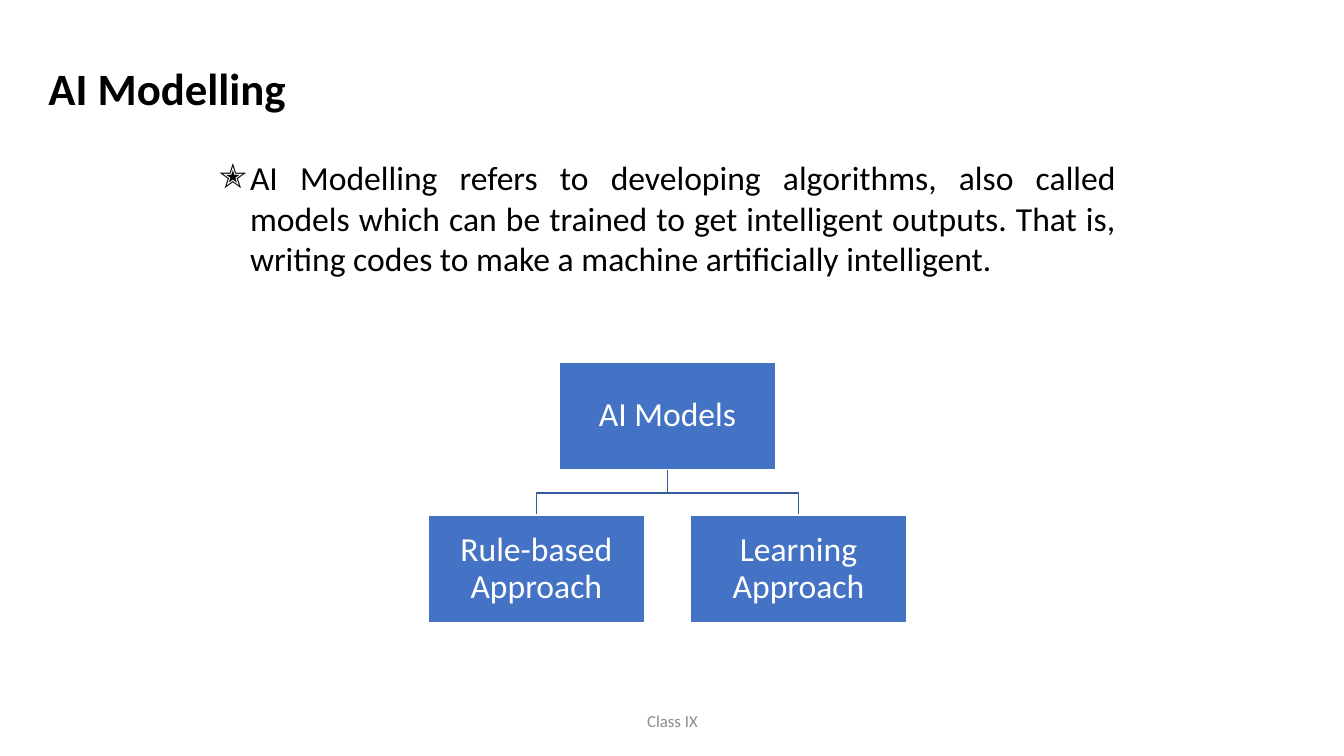
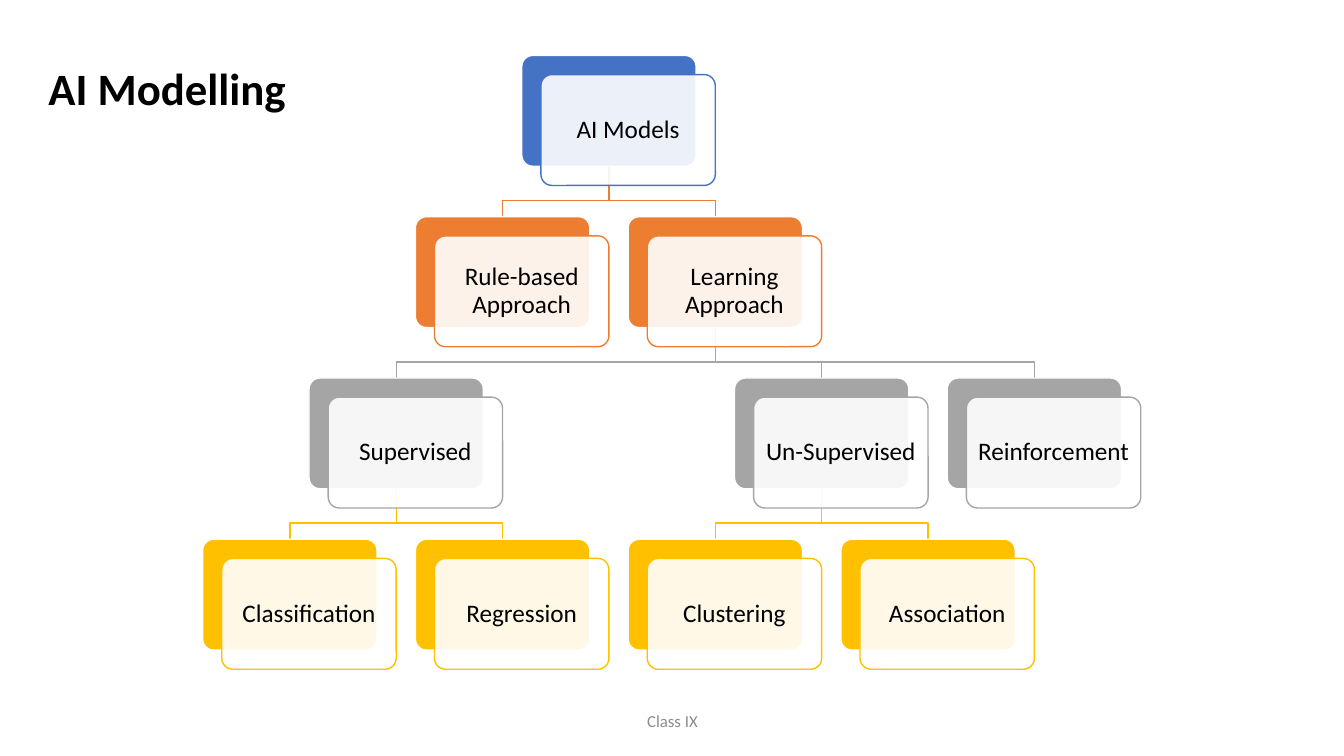
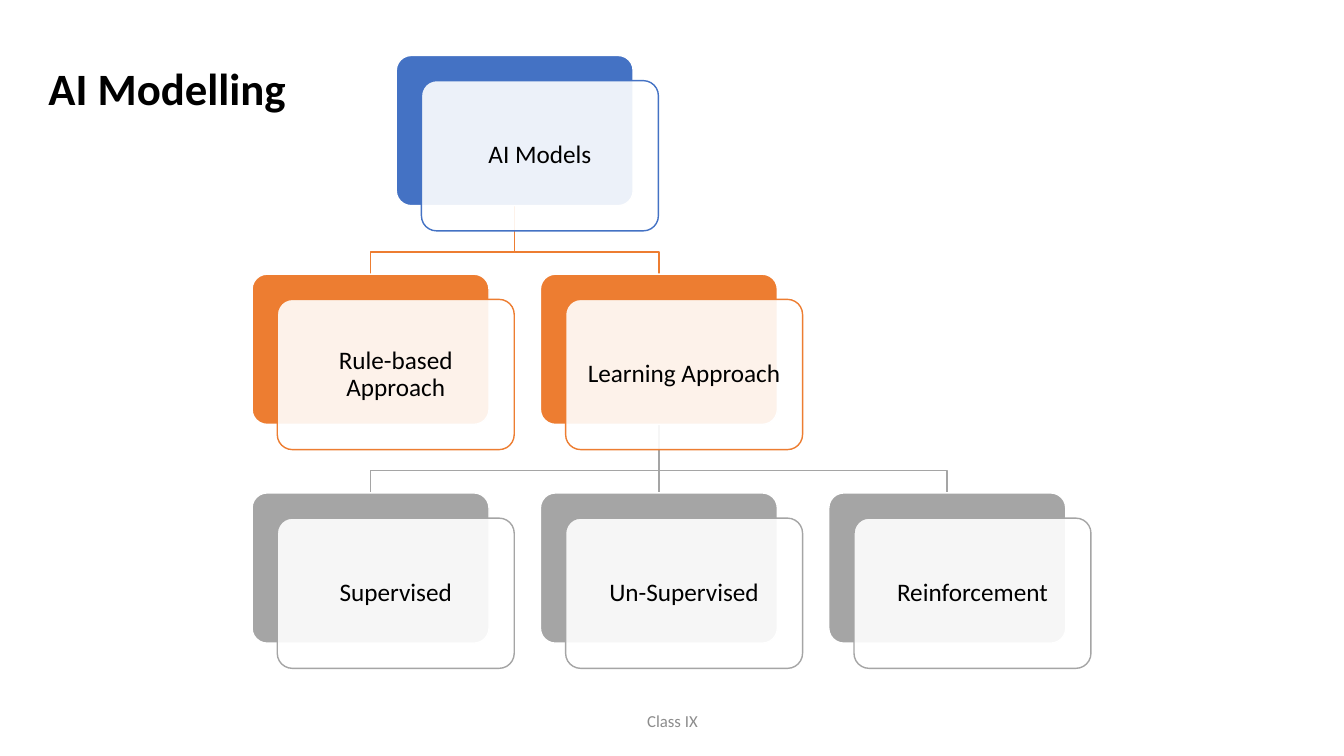
import lxml.etree
import pptx
import pptx.dml.color
import pptx.enum.shapes
import pptx.enum.text
import pptx.oxml.ns
import pptx.util

Inches = pptx.util.Inches
Pt = pptx.util.Pt
qn = pptx.oxml.ns.qn
ALIGN = pptx.enum.text.PP_ALIGN
ANCHOR = pptx.enum.text.MSO_ANCHOR
FIT = pptx.enum.text.MSO_AUTO_SIZE
SHAPE = pptx.enum.shapes.MSO_SHAPE

COLORS = {
    "text": "000000",
    "paper": "FFFFFF",
    "footer": "8C8C8C",
    "branch": "365B9D",
    "blue": "4472C4",
    "orange": "ED7D31",
    "gray": "A5A5A5",
    "gold": "FFC000",
}
LEVEL_COLORS = ["blue", "orange", "gray", "gold"]
TITLE_ONLY, TITLE_AND_BODY = 5, 1

PARENTS = {
    "Rule-based Approach": "AI Models",
    "Learning Approach": "AI Models",
    "Supervised": "Learning Approach",
    "Un-Supervised": "Learning Approach",
    "Reinforcement": "Learning Approach",
    "Classification": "Supervised",
    "Regression": "Supervised",
    "Clustering": "Un-Supervised",
    "Association": "Un-Supervised",
}


def level_of(name):
    return 1 + level_of(PARENTS[name]) if name in PARENTS else 0


def rgb(color):
    return pptx.dml.color.RGBColor.from_string(COLORS[color])


class Lesson:
    font = "Calibri"

    def __init__(self):
        self.deck = pptx.Presentation()
        self.deck.slide_width = Inches(13.33)
        self.deck.slide_height = Inches(7.5)
        self.page = None

    def add_page(self, title, layout=TITLE_ONLY):
        self.page = self.deck.slides.add_slide(self.deck.slide_layouts[layout])
        heading = self.page.shapes.title
        self.place(heading, 0.38, 0.55, 2.58, 0.64)
        self.set_text(heading, title, 32, align=ALIGN.LEFT, bold=True)
        heading.text_frame.word_wrap = False
        heading.text_frame.auto_size = FIT.SHAPE_TO_FIT_TEXT
        footer = self.page.shapes.add_textbox(
            Inches(4.42), Inches(6.95), Inches(4.5), Inches(0.4))
        self.set_text(footer, "Class IX", 12, "footer")

    def place(self, shape, left, top, width, height):
        shape.left, shape.top = Inches(left), Inches(top)
        shape.width, shape.height = Inches(width), Inches(height)

    def set_text(self, shape, text, size, color="text", align=ALIGN.CENTER, bold=False):
        frame = shape.text_frame
        frame.text = text
        frame.word_wrap = True
        frame.vertical_anchor = ANCHOR.MIDDLE
        para = frame.paragraphs[0]
        para.alignment = align
        para.space_before = Pt(0)
        font = para.runs[0].font
        font.name, font.size, font.bold = self.font, Pt(size), bold
        font.color.rgb = rgb(color)
        return para

    def bullet(self, text, left, top, width, height):
        body = self.page.placeholders[1]
        self.place(body, left, top, width, height)
        para = self.set_text(body, text, 24, align=ALIGN.JUSTIFY)
        body.text_frame.vertical_anchor = ANCHOR.TOP
        body.text_frame.auto_size = FIT.SHAPE_TO_FIT_TEXT
        props = para._p.get_or_add_pPr()
        props.set("marL", str(Inches(0.31)))
        props.set("indent", str(Inches(-0.31)))
        lxml.etree.SubElement(props, qn("a:buChar"), char="✭")

    def box(self, left, top, size, fill, line, kind=SHAPE.RECTANGLE):
        shape = self.page.shapes.add_shape(
            kind, Inches(left), Inches(top), Inches(size[0]), Inches(size[1]))
        shape.shadow.inherit = False
        shape.fill.solid()
        shape.fill.fore_color.rgb = rgb(fill)
        shape.line.color.rgb = rgb(line)
        shape.line.width = Pt(1)
        if kind == SHAPE.ROUNDED_RECTANGLE:
            shape.adjustments[0] = 0.1
        return shape

    def label(self, shape, text, size, color, inset):
        self.set_text(shape, text, size, color).line_spacing = 0.9
        frame = shape.text_frame
        frame.margin_left = frame.margin_right = Inches(inset)
        frame.margin_top = frame.margin_bottom = Inches(inset)

    def block(self, text, left, top, size):
        self.label(self.box(left, top, size, "blue", "paper"), text, 24, "paper", 0.02)

    def card(self, text, left, top, size, color, shift):
        kind = SHAPE.ROUNDED_RECTANGLE
        self.box(left, top, size, color, "paper", kind)
        front = self.box(left + shift, top + shift, size, "paper", color, kind)
        tint = front.element.find(".//" + qn("a:srgbClr"))
        lxml.etree.SubElement(tint, qn("a:alpha"), val="90000")
        self.label(front, text, 18, "text", 0.07)

    def branch(self, start, end, rise, color):
        (x1, y1), (x2, y2) = start, end
        if x1 == x2:
            line = self.page.shapes.add_connector(
                pptx.enum.shapes.MSO_CONNECTOR.STRAIGHT,
                Inches(x1), Inches(y1), Inches(x2), Inches(y2))
            line.line.color.rgb = rgb(color)
            lxml.etree.SubElement(line.element.spPr, qn("a:effectLst"))
        else:
            bends = [(x1, y2 - rise), (x2, y2 - rise), end]
            builder = self.page.shapes.build_freeform(Inches(x1), Inches(y1))
            builder.add_line_segments(
                [(Inches(x), Inches(y)) for x, y in bends], close=False)
            line = builder.convert_to_shape()
            line.fill.background()
            line.shadow.inherit = False
            line.line.color.rgb = rgb(color)
        line.line.width = Pt(1)

    def tree(self, columns, origin, size, step, row, rise, shift=0):
        spots = {
            name: (origin[0] + column * step, origin[1] + level_of(name) * row)
            for name, column in columns.items()
        }
        for name, (left, top) in spots.items():
            if name in PARENTS:
                parent_left, parent_top = spots[PARENTS[name]]
                color = LEVEL_COLORS[level_of(name)] if shift else "branch"
                self.branch((parent_left + size[0] / 2, parent_top + size[1]),
                            (left + size[0] / 2, top), rise, color)
        for name, (left, top) in spots.items():
            if shift:
                self.card(name, left, top, size, LEVEL_COLORS[level_of(name)], shift)
            else:
                self.block(name, left, top, size)


def main():
    lesson = Lesson()

    lesson.add_page("AI Modelling", TITLE_AND_BODY)
    lesson.bullet(
        "AI Modelling refers to developing algorithms, also called models which can be "
        "trained to get intelligent outputs. That is, writing codes to make a machine "
        "artificially intelligent.", 2.07, 1.51, 9.1, 1.31)
    lesson.tree(
        {"AI Models": 1, "Rule-based Approach": 0, "Learning Approach": 2},
        origin=(4.25, 3.59), size=(2.14, 1.07), step=1.3, row=1.52, rise=0.22)

    lesson.add_page("AI Modelling")
    lesson.tree(
        {"AI Models": 3, "Rule-based Approach": 2, "Learning Approach": 4,
         "Supervised": 1, "Classification": 0, "Regression": 2,
         "Un-Supervised": 5, "Clustering": 4, "Association": 6, "Reinforcement": 7},
        origin=(2.01, 0.55), size=(1.73, 1.1), step=2.11 / 2, row=1.6, rise=0.16,
        shift=0.19)

    lesson.add_page("AI Modelling")
    lesson.tree(
        {"AI Models": 1, "Rule-based Approach": 0, "Learning Approach": 2,
         "Supervised": 0, "Un-Supervised": 2, "Reinforcement": 4},
        origin=(2.5, 0.55), size=(2.35, 1.49), step=1.43, row=2.17, rise=0.22,
        shift=0.25)

    lesson.deck.save("out.pptx")


if __name__ == "__main__":
    main()
